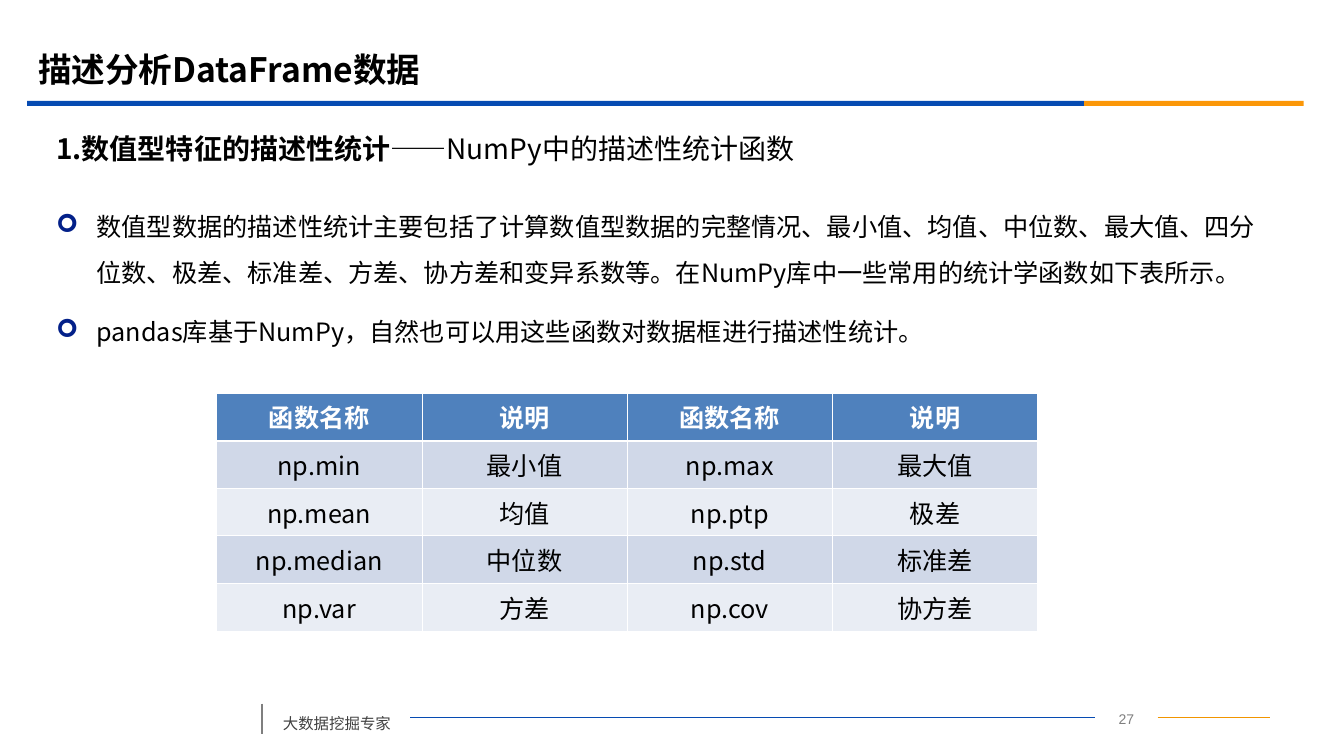
import pptx
import pptx.util
import pptx.dml.color
import pptx.enum.shapes
import pptx.enum.text
import pptx.oxml
from pptx.oxml.ns import nsdecls, qn

Inches, Pt = pptx.util.Inches, pptx.util.Pt
RGBColor = pptx.dml.color.RGBColor
CENTER = pptx.enum.text.PP_ALIGN.CENTER
MIDDLE = pptx.enum.text.MSO_ANCHOR.MIDDLE

# Content
TITLE = "描述分析DataFrame数据"
HEADING = ("1.数值型特征的描述性统计", "——NumPy中的描述性统计函数")
BULLETS = [
    "数值型数据的描述性统计主要包括了计算数值型数据的完整情况、最小值、均值、中位数、最大值、"
    "四分位数、极差、标准差、方差、协方差和变异系数等。在NumPy库中一些常用的统计学函数如下表所示。",
    "pandas库基于NumPy，自然也可以用这些函数对数据框进行描述性统计。",
]
FUNCTIONS = [
    ("函数名称", "说明", "函数名称", "说明"),
    ("np.min", "最小值", "np.max", "最大值"),
    ("np.mean", "均值", "np.ptp", "极差"),
    ("np.median", "中位数", "np.std", "标准差"),
    ("np.var", "方差", "np.cov", "协方差"),
]
FOOTER = "大数据挖掘专家"
PAGE_NUMBER = "27"

# Look
FONT = "Noto Sans CJK SC"
BLACK = RGBColor(0x00, 0x00, 0x00)
WHITE = RGBColor(0xFF, 0xFF, 0xFF)
BLUE = RGBColor(0x06, 0x4B, 0xB2)
ORANGE = RGBColor(0xFB, 0x97, 0x08)
ORANGE_LINE = RGBColor(0xF1, 0x95, 0x00)
GREY = RGBColor(0x7F, 0x7F, 0x7F)
DARK_GREY = RGBColor(0x40, 0x40, 0x40)
BULLET_BLUE = RGBColor(0x03, 0x20, 0x89)
HEADER_FILL = RGBColor(0x4F, 0x81, 0xBD)
BAND_FILLS = (RGBColor(0xE9, 0xED, 0xF4), RGBColor(0xD0, 0xD8, 0xE8))
THIN, THICK = Pt(0.45), Pt(1.47)


def style_span(span, size, color, bold=False, font=FONT):
    span.font.size = Pt(size)
    span.font.bold = bold
    span.font.name = font
    span.font.color.rgb = color
    east_asian = span.font._element.makeelement(qn("a:ea"), {"typeface": font})
    span.font._element.find(qn("a:latin")).addnext(east_asian)


def add_text(page, bounds, lines, size, color, bold=False, font=FONT):
    box = page.shapes.add_textbox(*map(Inches, bounds))
    box.text_frame.word_wrap = True
    box.text_frame.text = "\n".join(lines)
    for para in box.text_frame.paragraphs:
        for span in para.runs:
            style_span(span, size, color, bold, font)
    return box


def add_line(page, start, end, color, width):
    line = page.shapes.add_connector(
        pptx.enum.shapes.MSO_CONNECTOR.STRAIGHT, *map(Inches, start + end))
    line.line.color.rgb = color
    line.line.width = Pt(width)
    line._element.spPr.append(pptx.oxml.parse_xml(f"<a:effectLst {nsdecls('a')}/>"))
    return line


def add_bullet(para):
    properties = para._p.get_or_add_pPr()
    properties.set("marL", str(Inches(0.4)))
    properties.set("indent", str(-Inches(0.4)))
    for xml in (f'<a:buClr {nsdecls("a")}><a:srgbClr val="{BULLET_BLUE}"/></a:buClr>',
                f'<a:buFont {nsdecls("a")} typeface="Wingdings"/>',
                f'<a:buChar {nsdecls("a")} char="➢"/>'):
        properties.append(pptx.oxml.parse_xml(xml))


def set_borders(cell, top, bottom):
    properties = cell._tc.get_or_add_tcPr()
    sides = (("lnL", THIN), ("lnR", THIN), ("lnT", top), ("lnB", bottom))
    for place, (side, width) in enumerate(sides):
        properties.insert(place, pptx.oxml.parse_xml(
            f'<a:{side} {nsdecls("a")} w="{width}"><a:solidFill>'
            f'<a:srgbClr val="{WHITE}"/></a:solidFill></a:{side}>'))


def add_function_table(page):
    rows, columns = len(FUNCTIONS), len(FUNCTIONS[0])
    table = page.shapes.add_table(
        rows, columns, Inches(2.15), Inches(3.9), Inches(8.15), Inches(2.36)).table
    for r, values in enumerate(FUNCTIONS):
        header = r == 0
        for c, value in enumerate(values):
            cell = table.cell(r, c)
            cell.text_frame.text = value
            cell.vertical_anchor = MIDDLE
            cell.margin_left = cell.margin_right = Inches(0.06)
            cell.margin_top = cell.margin_bottom = Inches(0.05)
            para = cell.text_frame.paragraphs[0]
            para.alignment = CENTER
            style_span(para.runs[0], 18, WHITE if header else BLACK, header)
            cell.fill.solid()
            cell.fill.fore_color.rgb = HEADER_FILL if header else BAND_FILLS[r % 2]
            set_borders(cell, THICK if r == 1 else THIN, THICK if header else THIN)


def main():
    deck = pptx.Presentation()
    deck.slide_width, deck.slide_height = Inches(13.34), Inches(7.5)
    page = deck.slides.add_slide(deck.slide_layouts[6])

    # Footer
    number = add_text(page, (10.87, 7, 0.62, 0.24), [PAGE_NUMBER], 10, GREY, font="Arial")
    number.text_frame.paragraphs[0].alignment = CENTER
    right_rule = add_line(page, (11.49, 7.12), (12.61, 7.12), ORANGE_LINE, 0.75)
    right_rule.begin_connect(number, 3)
    left_rule = add_line(page, (4.07, 7.12), (10.87, 7.12), BLUE, 0.75)
    left_rule.end_connect(number, 1)
    footer = add_text(page, (2.71, 6.94, 1.36, 0.38), [FOOTER], 11, DARK_GREY)
    footer.text_frame.paragraphs[0].line_spacing = 1.5
    add_line(page, (2.6, 6.98), (2.6, 7.28), GREY, 1.25)

    # Title and its two-colour rule
    for left, width, color in ((0.27, 10.49, BLUE), (10.76, 2.18, ORANGE)):
        bar = page.shapes.add_shape(
            pptx.enum.shapes.MSO_SHAPE.RECTANGLE,
            Inches(left), Inches(1), Inches(width), Inches(0.05))
        bar.shadow.inherit = False
        bar.fill.solid()
        bar.fill.fore_color.rgb = color
        bar.line.fill.background()
    title = add_text(page, (0.28, 0.39, 12, 0.58), [TITLE], 24, BLACK, bold=True)
    title.text_frame.vertical_anchor = MIDDLE

    # Heading: bold topic, regular subtopic
    heading = add_text(page, (0.46, 1.24, 12.15, 0.47), HEADING[:1], 20, BLACK, bold=True)
    heading.text_frame.vertical_anchor = MIDDLE
    subtopic = heading.text_frame.paragraphs[0].add_run()
    subtopic.text = HEADING[1]
    style_span(subtopic, 20, BLACK)

    # Bullets
    body = add_text(page, (0.46, 1.9, 12.15, 1.75), BULLETS, 18, BLACK)
    for index, para in enumerate(body.text_frame.paragraphs):
        add_bullet(para)
        para.line_spacing = 1.5
        if index:
            para.space_before = Pt(10)

    add_function_table(page)
    deck.save("out.pptx")


if __name__ == "__main__":
    main()
